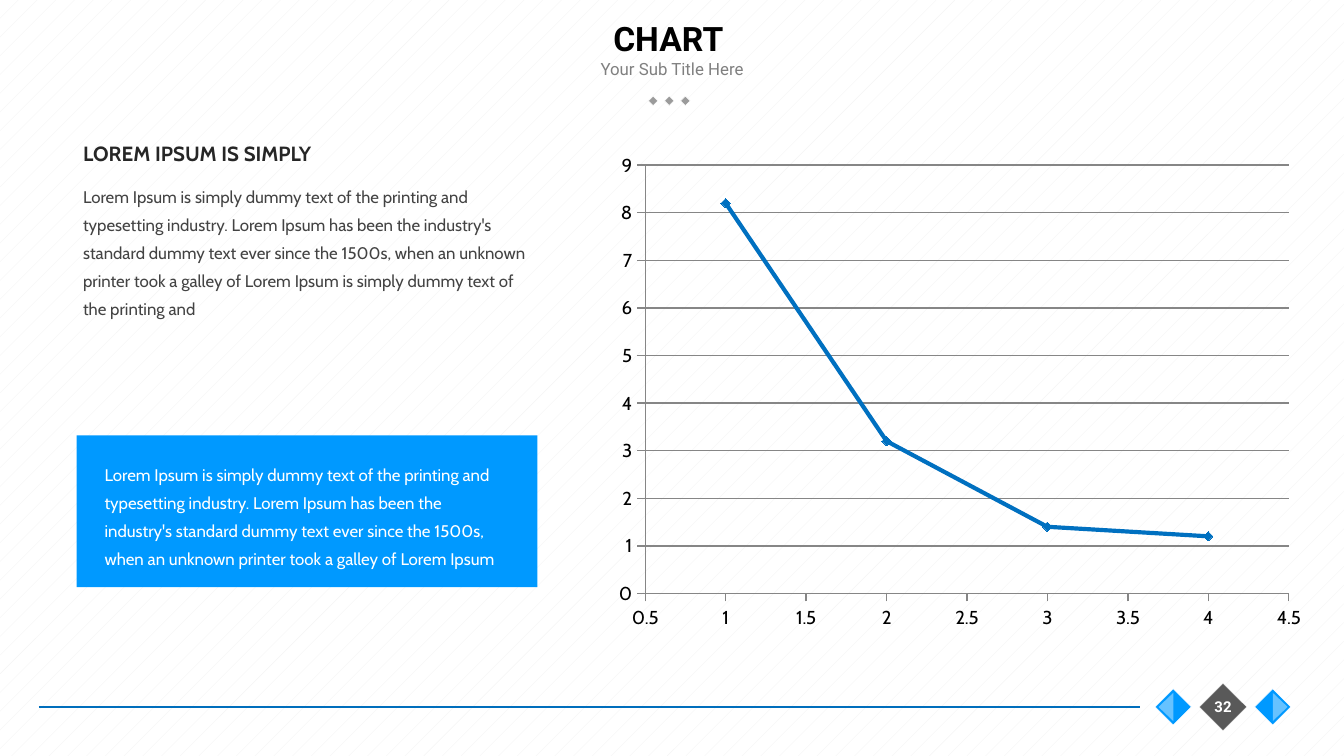
from lxml import etree
from pptx import Presentation
from pptx.chart.data import XyChartData
from pptx.dml.color import RGBColor
from pptx.enum.chart import XL_CHART_TYPE, XL_MARKER_STYLE, XL_TICK_MARK
from pptx.enum.dml import MSO_PATTERN
from pptx.enum.shapes import MSO_CONNECTOR, MSO_SHAPE
from pptx.enum.text import MSO_ANCHOR, PP_ALIGN
from pptx.oxml import parse_xml
from pptx.oxml.ns import nsdecls, qn
from pptx.util import Inches, Pt

BLUE, LIGHT, GRAY = "0099FF", "66C2FF", "595959"
TITLE = "CHART "
SUBTITLE = "Your Sub Title Here"
HEADING = "LOREM IPSUM IS SIMPLY"
LOREM = ("Lorem Ipsum is simply dummy text of the printing and typesetting industry. "
         "Lorem Ipsum has been the industry's standard dummy text ever since the 1500s, "
         "when an unknown printer took a galley of Lorem Ipsum")
BODY = LOREM + " is simply dummy text of the printing and"
PAGE = "32"
POINTS = [(1, 8.2), (2, 3.2), (3, 1.4), (4, 1.2)]
CHART_BOX = (4.5, 1.07, 5.28, 3.69)
PLOT_BOX = (4.8, 1.23, 4.79, 3.19)
FOOTER_Y = 5.26


def rgb(value):
    return RGBColor.from_string(value)


def style_text(tf, text, size, font, color, bold=False, center=False, leading=None):
    tf.word_wrap = True
    tf.text = text
    p = tf.paragraphs[0]
    if center:
        p.alignment = PP_ALIGN.CENTER
        tf.vertical_anchor = MSO_ANCHOR.MIDDLE
    if leading:
        p.line_spacing = Pt(leading)
    f = p.runs[0].font
    f.size, f.name, f.bold = Pt(size), font, bold
    f.color.rgb = rgb(color)


def add_text(s, box, *args, **kwargs):
    style_text(s.shapes.add_textbox(*map(Inches, box)).text_frame, *args, **kwargs)


def add_block(s, kind, box, fill, rotation=0, outlined=False):
    sp = s.shapes.add_shape(kind, *map(Inches, box))
    sp.shadow.inherit = False
    sp.rotation = rotation
    sp.fill.solid()
    sp.fill.fore_color.rgb = rgb(fill)
    if outlined:
        sp.line.color.rgb = rgb("FFFFFF")
        sp.line.width = Pt(0.25)
    else:
        sp.line.fill.background()


def add_diamond(s, cx, cy, side, fill):
    add_block(s, MSO_SHAPE.RECTANGLE, (cx - side / 2, cy - side / 2, side, side),
              fill, 315, outlined=True)


def add_arrow_diamond(s, cx, cy, direction):
    """Diamond whose outer half is lighter; direction is -1 for left, 1 for right."""
    w, h = 0.21, 0.11
    add_diamond(s, cx, cy, 0.19, BLUE)
    add_block(s, MSO_SHAPE.FLOWCHART_EXTRACT,
              (cx + direction * h / 2 - w / 2, cy - h / 2, w, h),
              LIGHT, 90 * direction % 360)


def style_axis(axis, low, high, step):
    axis.minimum_scale, axis.maximum_scale, axis.major_unit = low, high, step
    axis.major_tick_mark = XL_TICK_MARK.OUTSIDE
    axis.format.line.color.rgb = rgb("868686")
    axis.format.line.width = Pt(0.75)
    f = axis.tick_labels.font
    f.size, f.name = Pt(10), "Cabin"
    f.color.rgb = rgb("000000")


def place_plot(chart):
    left, top, width, height = CHART_BOX
    x, y, w, h = PLOT_BOX
    parts = {"x": (x - left) / width, "y": (y - top) / height, "w": w / width, "h": h / height}
    modes = '<c:layoutTarget val="inner"/><c:xMode val="edge"/><c:yMode val="edge"/>'
    sizes = "".join(f'<c:{k} val="{v:.3f}"/>' for k, v in parts.items())
    area = chart.plots[0]._element.getparent()
    for old in area.findall(qn("c:layout")):
        area.remove(old)
    area.insert(0, parse_xml(f'<c:layout {nsdecls("c")}><c:manualLayout>{modes}{sizes}'
                             '</c:manualLayout></c:layout>'))


def add_scatter(s):
    data = XyChartData()
    series = data.add_series("Series 1")
    for x, y in POINTS:
        series.add_data_point(x, y)
    chart = s.shapes.add_chart(XL_CHART_TYPE.XY_SCATTER_LINES,
                               *map(Inches, CHART_BOX), data).chart
    chart.has_legend = chart.has_title = False
    chart.font.size, chart.font.name = Pt(18), "Cabin"
    chart.font.color.rgb = rgb("000000")
    chart.plots[0].vary_by_categories = False
    style_axis(chart.category_axis, 0.5, 4.5, 0.5)
    style_axis(chart.value_axis, 0, 9, 1)
    chart.category_axis.has_major_gridlines = False
    grid = chart.value_axis.major_gridlines.format.line
    grid.color.rgb, grid.width = rgb("868686"), Pt(0.75)
    ser = chart.plots[0].series[0]
    ser.smooth = False
    ser.format.line.color.rgb, ser.format.line.width = rgb("0070C0"), Pt(2.25)
    ser.marker.style, ser.marker.size = XL_MARKER_STYLE.DIAMOND, 5
    ser.marker.format.fill.solid()
    ser.marker.format.fill.fore_color.rgb = rgb("0070C0")
    ser.marker.format.line.color.rgb = rgb("0070C0")
    place_plot(chart)


def main():
    prs = Presentation()
    prs.slide_width = Inches(10)
    prs.slide_height = prs.slide_width * 9 // 16
    s = prs.slides.add_slide(prs.slide_layouts[5])
    bg = s.background.fill
    bg.patterned()
    bg.pattern = MSO_PATTERN.PERCENT_5
    bg.fore_color.rgb, bg.back_color.rgb = rgb("F2F2F2"), rgb("FFFFFF")

    title = s.shapes.title
    title.left, title.top, title.width, title.height = map(Inches, (0.75, 0, 8.5, 0.56))
    style_text(title.text_frame, TITLE, 18, "Roboto", "000000", bold=True, center=True)
    add_text(s, (3.75, 0.39, 2.5, 0.25), SUBTITLE, 9, "Roboto", "808080", center=True)
    for i in range(3):
        add_diamond(s, 4.86 + i * 0.12, 0.75, 0.05, "9B9B9B")

    add_text(s, (0.52, 1, 2.44, 0.29), HEADING, 11, "Cabin", "262626", bold=True)
    add_text(s, (0.52, 1.28, 3.54, 1.15), BODY, 9, "Cabin", "434343", leading=15)
    add_block(s, MSO_SHAPE.RECTANGLE, (0.57, 3.24, 3.43, 1.13), BLUE)
    add_text(s, (0.68, 3.35, 3.21, 0.94), LOREM, 9, "Cabin", "FFFFFF", leading=15)
    add_scatter(s)

    y = Inches(FOOTER_Y)
    line = s.shapes.add_connector(MSO_CONNECTOR.STRAIGHT, Inches(0.29), y, Inches(8.48), y)
    line.line.color.rgb, line.line.width = rgb("006EBC"), Pt(0.75)
    etree.SubElement(line._element.spPr, qn("a:effectLst"))
    add_diamond(s, 9.1, FOOTER_Y, 0.25, GRAY)
    for direction in (-1, 1):
        add_arrow_diamond(s, 9.1 + direction * 0.37, FOOTER_Y, direction)
    add_text(s, (8.89, 5.13, 0.42, 0.25), PAGE, 8, "Roboto", "FFFFFF", bold=True, center=True)
    prs.save("out.pptx")


if __name__ == "__main__":
    main()
